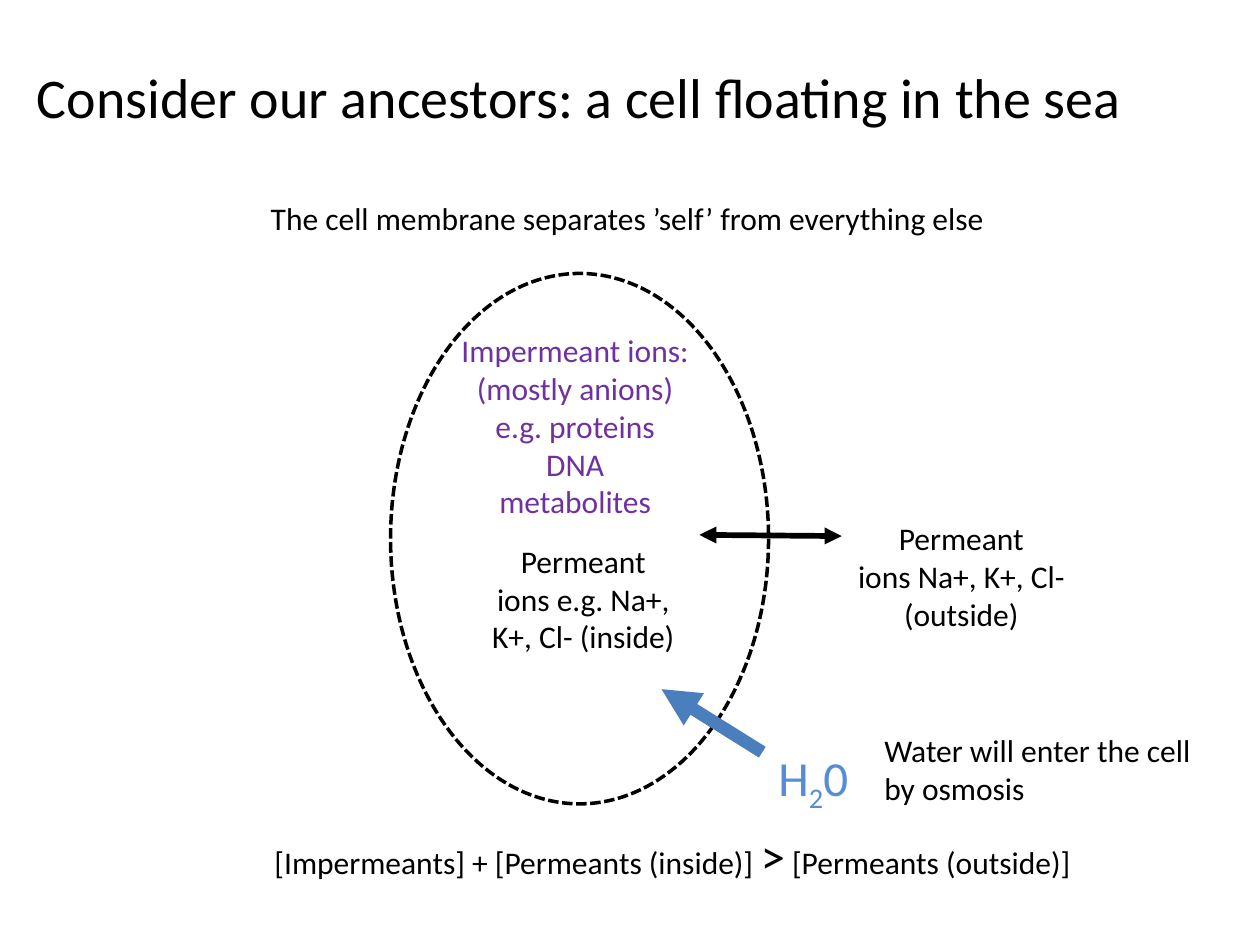
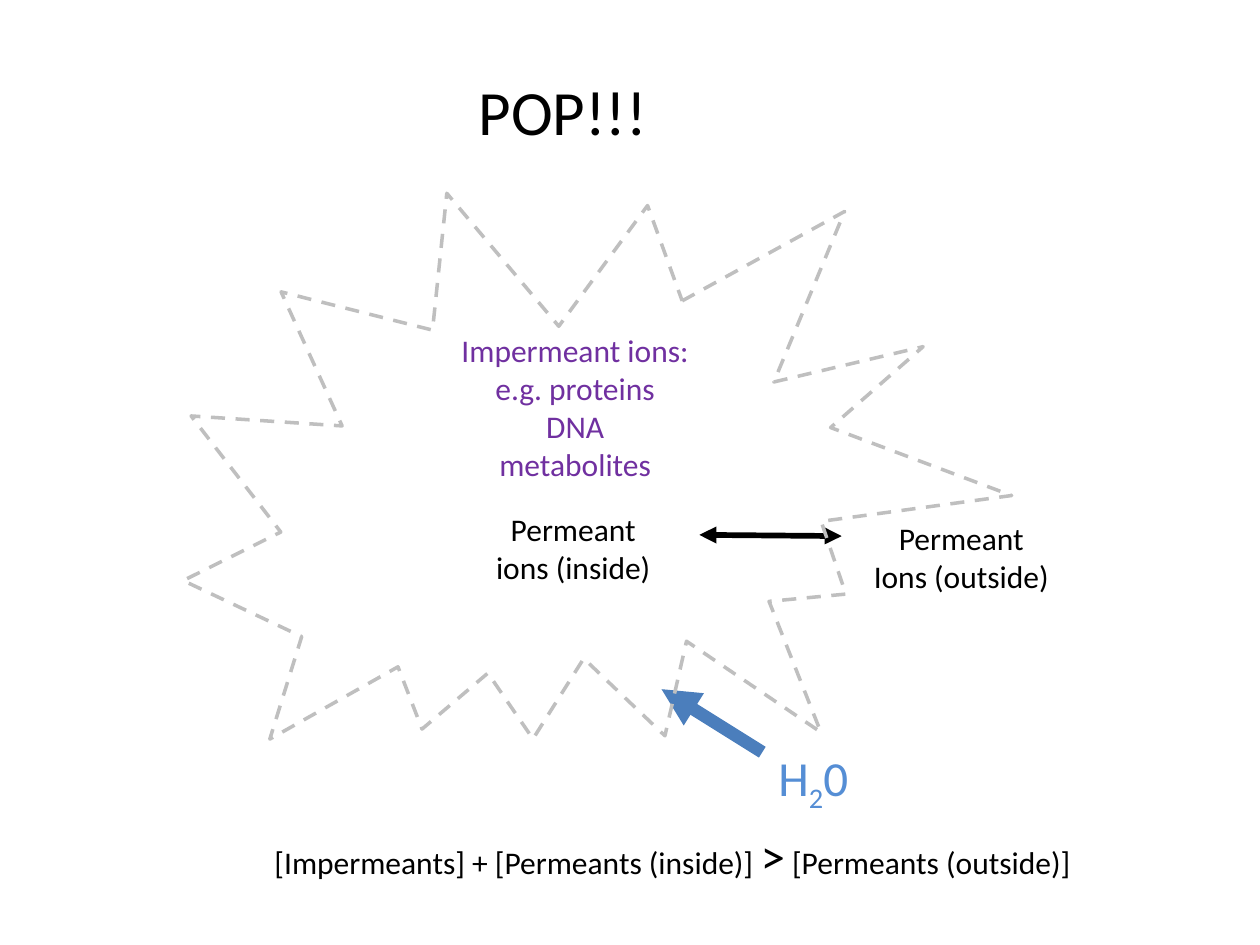
from lxml import etree
from pptx import Presentation
from pptx.dml.color import RGBColor
from pptx.enum.dml import MSO_LINE
from pptx.enum.shapes import MSO_CONNECTOR, MSO_SHAPE
from pptx.enum.text import MSO_ANCHOR, MSO_AUTO_SIZE, PP_ALIGN
from pptx.oxml.ns import qn
from pptx.util import Inches, Pt

LEFT, CENTER = PP_ALIGN.LEFT, PP_ALIGN.CENTER
TOP, MIDDLE = MSO_ANCHOR.TOP, MSO_ANCHOR.MIDDLE
GROW = MSO_AUTO_SIZE.SHAPE_TO_FIT_TEXT
SHORT_DASH, DASH = MSO_LINE.SQUARE_DOT, MSO_LINE.DASH
OVAL, BURST = MSO_SHAPE.OVAL, MSO_SHAPE.EXPLOSION2
STRAIGHT = MSO_CONNECTOR.STRAIGHT

COLORS = {"text": "000000", "impermeant": "7030A0", "water": "558ED5",
          "flow": "4B7EBC", "burst": "BFBFBF"}
FONT = "Calibri"
COLS, ROWS = 100, 75
WIDTH, HEIGHT = Inches(10), Inches(7.5)

IONS_BOX = (35.5, 25.8, 50.3, 26.8)
WATER_BOX = (52.5, 54.7, 43.3, 9.9)
BALANCE_BOX = (20.8, 65, 70.8, 5.7)


def x(cols):
    """Turn grid columns into a length."""
    return round(WIDTH * cols / COLS)


def y(rows):
    """Turn grid rows into a length."""
    return round(HEIGHT * rows / ROWS)


def place(box):
    """Turn a grid box into left, top, width and height."""
    left, top, width, height = box
    return x(left), y(top), x(width), y(height)


def within(box, dx, dy, width, height):
    """Give a part's grid box from its offset inside a region."""
    return box[0] + dx, box[1] + dy, width, height


def add_text(s, box, paragraphs, size=18, color="text", align=LEFT,
             anchor=TOP, wrap=True, grow=True):
    """Add a text box; a paragraph is a string or a list of (text, size, baseline)."""
    sp = s.shapes.add_textbox(*place(box))
    tf = sp.text_frame
    tf.word_wrap = wrap
    tf.vertical_anchor = anchor
    if grow:
        tf.auto_size = GROW
    for i, runs in enumerate(paragraphs):
        p = tf.paragraphs[0] if i == 0 else tf.add_paragraph()
        p.alignment = align
        if isinstance(runs, str):
            runs = [(runs, size, 0)]
        for text, run_size, baseline in runs:
            r = p.add_run()
            r.text = text
            r.font.name = FONT
            r.font.size = Pt(run_size)
            r.font.color.rgb = RGBColor.from_string(COLORS[color])
            if baseline:
                r._r.get_or_add_rPr().set("baseline", str(baseline * 1000))


def add_arrow(s, start, end, color, width, ends=("tailEnd",)):
    """Add a straight line with triangle heads at the named ends."""
    line = s.shapes.add_connector(STRAIGHT, x(start[0]), y(start[1]),
                                  x(end[0]), y(end[1]))
    line.line.color.rgb = RGBColor.from_string(COLORS[color])
    line.line.width = Pt(width)
    for name in ends:
        etree.SubElement(line.line._get_or_add_ln(), qn(f"a:{name}"), type="triangle")
    etree.SubElement(line._element.spPr, qn("a:effectLst"))


def add_membrane(s, box, shape, color, dash, rotation=0):
    """Draw the dashed outline of the cell."""
    sp = s.shapes.add_shape(shape, *place(box))
    sp.shadow.inherit = False
    sp.fill.background()
    sp.line.color.rgb = RGBColor.from_string(COLORS[color])
    sp.line.width = Pt(2)
    sp.line.dash_style = dash
    sp.rotation = rotation


def add_ions(s, box, impermeant, inside, outside, inside_at):
    """Label the ions on both sides of the membrane and their exchange."""
    line_height = 3.05
    add_text(s, within(box, 0, 0, 20.3, 1 + line_height * len(impermeant)),
             impermeant, color="impermeant", align=CENTER, wrap=False)
    for (dx, dy), label in ((inside_at, inside), ((31.3, 14.9), outside)):
        add_text(s, within(box, dx, dy, 19, 7.1), ["Permeant", label], align=CENTER)
    left, top = box[:2]
    add_arrow(s, (left + 20, top + 16.65), (left + 31.3, top + 16.75), "text", 3.25,
              ends=("headEnd", "tailEnd"))


def add_water(s, box, note=None):
    """Show water flowing into the cell, with an optional note."""
    left, top = box[:2]
    add_arrow(s, (left + 8, top + 5), (left, top), "flow", 7.25)
    add_text(s, within(box, 8.3, 4.1, 7.8, 5.7),
             [[("H", 28, 0), ("2", 28, -25), ("0", 28, 0)]], color="water", wrap=False)
    if note:
        add_text(s, within(box, 16.7, 2.8, 26.6, 7.1), note, wrap=False)


def add_balance(s, box):
    """Write the concentration inequality."""
    add_text(s, box, [[("[Impermeants] + [Permeants (inside)] ", 18, 0), (">", 28, 0),
                       (" [Permeants (outside)]", 18, 0)]])


def build_cell_slide(s):
    """Build the slide of the whole cell in the sea."""
    add_text(s, (1, 1.4, 90, 12.5), ["Consider our ancestors: a cell floating in the sea"],
             size=32, align=CENTER, anchor=MIDDLE, grow=False)
    add_membrane(s, (31, 21.7, 30, 42.1), OVAL, "text", SHORT_DASH)
    add_ions(s, IONS_BOX,
             ["Impermeant ions:", "(mostly anions)", "e.g. proteins", "DNA", "metabolites"],
             "ions e.g. Na+, K+, Cl- (inside)", "ions Na+, K+, Cl- (outside)", (1.3, 16.7))
    add_text(s, (20.5, 15.3, 58.8, 4),
             ["The cell membrane separates ’self’ from everything else"])
    add_balance(s, BALANCE_BOX)
    add_water(s, WATER_BOX, ["Water will enter the cell", "by osmosis"])


def build_pop_slide(s):
    """Build the slide of the burst cell."""
    add_ions(s, IONS_BOX, ["Impermeant ions:", "e.g. proteins", "DNA", "metabolites"],
             "ions (inside)", "Ions (outside)", (0.5, 14.2))
    add_water(s, WATER_BOX)
    add_membrane(s, (15.1, 11.3, 63.5, 54.7), BURST, "burst", DASH, rotation=19.5)
    add_text(s, (37, 5.3, 15.5, 7.1), ["POP!!!"], size=36, wrap=False)
    add_balance(s, BALANCE_BOX)


def main():
    """Build and save the deck."""
    prs = Presentation()
    prs.slide_width, prs.slide_height = WIDTH, HEIGHT
    for build in (build_cell_slide, build_pop_slide):
        build(prs.slides.add_slide(prs.slide_layouts[6]))
    prs.save("out.pptx")


if __name__ == "__main__":
    main()
